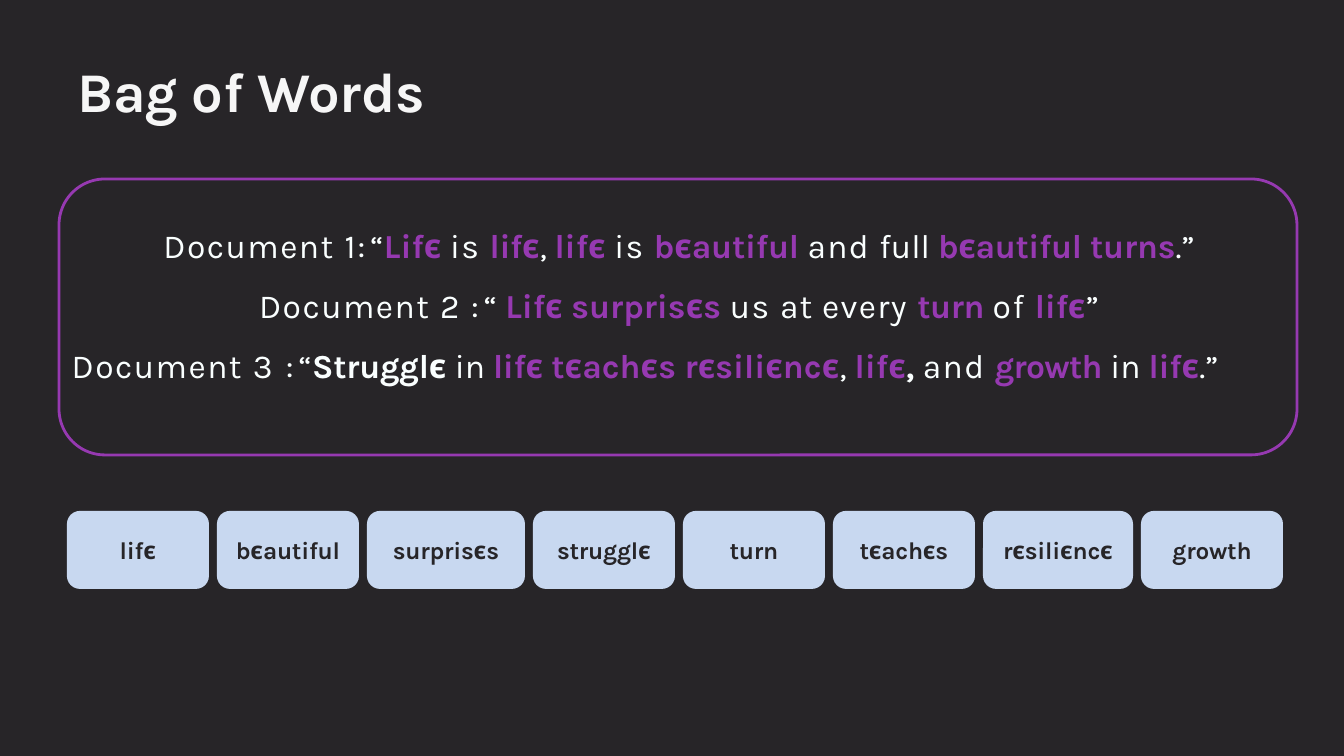
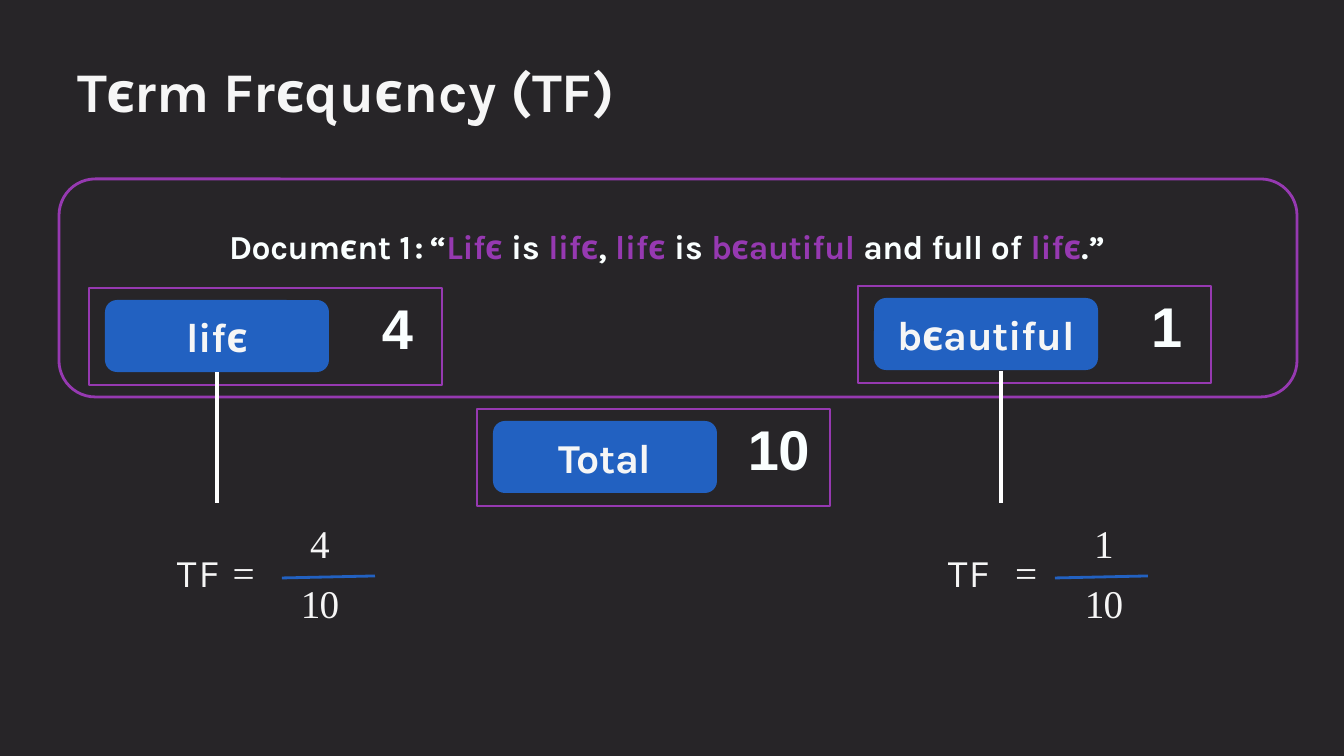
from dataclasses import dataclass
from typing import NamedTuple, Optional, Sequence

import pptx
import pptx.dml.color
import pptx.enum.shapes
import pptx.enum.text
import pptx.oxml.ns
import pptx.util
from lxml import etree

SLIDE_W, SLIDE_H = 1344, 756  # px
EMU_PER_PX = 9144000 / SLIDE_W

SHAPE = pptx.enum.shapes.MSO_SHAPE
ALIGN = pptx.enum.text.PP_ALIGN
ANCHOR = pptx.enum.text.MSO_ANCHOR
qn = pptx.oxml.ns.qn


@dataclass(frozen=True)
class Theme:
    background: str = "272528"
    title: str = "F6F6F6"
    text: str = "FAFFFF"
    accent: str = "9639B1"
    card: str = "C8D8F0"
    pill: str = "2261C1"
    stem: str = "FFFFFF"
    font: str = "Karla"
    count_font: str = "Arial"
    math_font: str = "Times New Roman"
    title_pt: int = 30
    body_pt: int = 18
    card_pt: int = 13
    pill_pt: int = 22
    math_pt: int = 21
    outline_pt: float = 1.5
    stem_pt: float = 2.25


T = Theme()


class Box(NamedTuple):
    left: int
    top: int
    width: int
    height: int


class Run(NamedTuple):
    text: str
    color: str = T.text
    bold: bool = False
    spacing: float = 0
    size: int = T.body_pt
    font: str = T.font


class Card(NamedTuple):
    word: str
    width: int = 142


class Counter(NamedTuple):
    word: str
    count: str
    left: int
    top: int
    count_dx: int = 293


class Fraction(NamedTuple):
    label_left: int
    bar_left: int
    center: int
    numerator: str
    gap: str
    spacing: float


def px(n: float) -> pptx.util.Emu:
    return pptx.util.Emu(round(n * EMU_PER_PX))


def rgb(color: str) -> pptx.dml.color.RGBColor:
    return pptx.dml.color.RGBColor.from_string(color)


def plain(text: str, spacing: float = 0, bold: bool = False) -> Run:
    return Run(text, bold=bold, spacing=spacing)


def key(text: str, spacing: float = 0) -> Run:
    return Run(text, T.accent, True, spacing)


# Text
def add_runs(p, runs: Sequence[Run]) -> None:
    for run in runs:
        r = p.add_run()
        r.text = run.text
        r.font.name = run.font
        r.font.size = pptx.util.Pt(run.size)
        r.font.bold = run.bold
        r.font.color.rgb = rgb(run.color)
        r._r.get_or_add_rPr().set("spc", str(round(run.spacing * 100)))


def set_margins(p, left: int, right: int = 0) -> None:
    pPr = p._p.get_or_add_pPr()
    pPr.set("marL", str(px(left)))
    pPr.set("marR", str(px(right)))
    pPr.set("indent", "0")


def add_tab(p, position: int) -> None:
    tabs = etree.SubElement(p._p.get_or_add_pPr(), qn("a:tabLst"))
    etree.SubElement(tabs, qn("a:tab"), pos=str(px(position)), algn="l")


def clear_insets(tf, top: int = 0) -> None:
    tf.word_wrap = True
    tf.margin_left = tf.margin_right = tf.margin_bottom = 0
    tf.margin_top = px(top)


def add_text(s, box: Box, runs: Sequence[Run], align=ALIGN.LEFT,
             top_inset: int = 2):
    tf = s.shapes.add_textbox(*map(px, box)).text_frame
    clear_insets(tf, top_inset)
    p = tf.paragraphs[0]
    p.alignment = align
    add_runs(p, runs)
    return tf


# Shapes
def add_block(s, kind, box: Box, fill: Optional[str] = None,
              label: Optional[Run] = None):
    """A filled block, or an accent outline when no fill is given."""
    sp = s.shapes.add_shape(kind, *map(px, box))
    sp.shadow.inherit = False
    if fill:
        sp.fill.solid()
        sp.fill.fore_color.rgb = rgb(fill)
        sp.line.fill.background()
    else:
        sp.fill.background()
        sp.line.color.rgb = rgb(T.accent)
        sp.line.width = pptx.util.Pt(T.outline_pt)
    if label:
        tf = sp.text_frame
        clear_insets(tf)
        tf.vertical_anchor = ANCHOR.MIDDLE
        tf.paragraphs[0].alignment = ALIGN.CENTER
        add_runs(tf.paragraphs[0], [label])
    return sp


def add_line(s, x1: int, y1: int, x2: int, y2: int, color: str, width: float):
    line = s.shapes.add_connector(pptx.enum.shapes.MSO_CONNECTOR.STRAIGHT,
                                  px(x1), px(y1), px(x2), px(y2))
    line.line.color.rgb = rgb(color)
    line.line.width = pptx.util.Pt(width)
    etree.SubElement(line._element.spPr, qn("a:effectLst"))
    return line


def add_panel(s, height: int) -> None:
    add_block(s, SHAPE.ROUNDED_RECTANGLE, Box(59, 179, 1238, height))


def add_counter(s, c: Counter):
    add_block(s, SHAPE.RECTANGLE, Box(c.left, c.top, 353, 97))
    pill = add_block(s, SHAPE.ROUNDED_RECTANGLE,
                     Box(c.left + 16, c.top + 12, 224, 72), T.pill,
                     Run(c.word, T.title, True, -0.1, T.pill_pt))
    add_text(s, Box(c.left + c.count_dx, c.top + 4, 70, 71),
             [Run(c.count, T.text, True, -0.3, T.title_pt, T.count_font)])
    return pill


def add_fraction(s, f: Fraction) -> None:
    def math(text: str) -> Run:
        return Run(text, T.title, False, -0.4, T.math_pt, T.math_font)

    tf = add_text(s, Box(f.label_left, 546, 98, 51),
                  [Run("TF" + f.gap, T.title, False, f.spacing, T.math_pt), math("=")])
    set_margins(tf.paragraphs[0], 1)
    if f.gap == "\t":
        add_tab(tf.paragraphs[0], 73)
    add_line(s, f.bar_left, 578, f.bar_left + 93, 576, T.pill, T.outline_pt)
    for text, top in ((f.numerator, 517), ("10", 577)):
        add_text(s, Box(f.center - 24, top, 48, 51), [math(text)], ALIGN.CENTER)


def add_slide(prs, title: Sequence[tuple[str, float]]):
    s = prs.slides.add_slide(prs.slide_layouts[6])
    tf = add_text(s, Box(63, 55, 646, 71),
                  [Run(text, T.title, True, spacing, T.title_pt)
                   for text, spacing in title])
    set_margins(tf.paragraphs[0], 14)
    return s


# Slide 1
DOCUMENT_1 = [
    plain("Document ", 0.8), plain("1 : ", -1.6), plain("“"), key("Lifє "),
    plain("is ", 0.7), key("lifє", -0.2), plain(", ", -0.2), key("lifє "),
    plain("is ", 0.7), key("bєautiful ", -0.1), plain("and ", 0.7),
    plain("full "), key("bєautiful ", -0.2), key("turns", -0.1),
    plain(".”", -0.1),
]
DOCUMENT_2 = [
    plain("Document ", 0.8), plain("2 ", 0.9), plain(": ", -1.6), plain("“ "),
    key("Lifє surprisєs "), plain("us ", 0.8), plain("at ", 0.5),
    plain("every ", 0.7), key("turn ", -0.2), plain("of ", 0.8),
    key("lifє", -0.1), plain("”", -0.1),
]
DOCUMENT_3 = [
    plain("Document ", 0.8), plain("3 ", 1.4), plain(": ", -1.6),
    plain("“", -0.1), plain("Strugglє ", -0.1, True), plain("in "),
    key("lifє ", -0.2), key("tєachєs rєsiliєncє"), plain(", "), key("lifє"),
    plain(", ", 0, True), plain("and ", 0.7), key("growth ", -0.4),
    plain("in "), key("lifє", -0.1), plain(".”", -0.1),
]
CARDS = [
    Card("lifє"), Card("bєautiful"), Card("surprisєs", 158), Card("strugglє"),
    Card("turn"), Card("tєachєs"), Card("rєsiliєncє", 150), Card("growth"),
]


def build_bag_of_words(prs) -> None:
    s = add_slide(prs, [("Bag of Words", -0.1)])
    add_panel(s, 276)

    # Documents
    tf = add_text(s, Box(59, 196, 1234, 266), DOCUMENT_1, ALIGN.CENTER, 9)
    p = tf.paragraphs[0]
    p.line_spacing = 1.49
    p.add_line_break()
    add_runs(p, DOCUMENT_2)
    set_margins(p, 71, 65)
    p = tf.add_paragraph()
    p.alignment = ALIGN.CENTER
    p.space_before = pptx.util.Pt(10.7)
    add_runs(p, DOCUMENT_3)
    set_margins(p, 3, 65)

    # Vocabulary
    left, gap = 67, 8
    for card in CARDS:
        add_block(s, SHAPE.ROUNDED_RECTANGLE, Box(left, 511, card.width, 78),
                  T.card, Run(card.word, T.background, True, -0.1, T.card_pt))
        left += card.width + gap


# Slide 2
SENTENCE = [
    plain("Documєnt ", -0.2, True), plain("1 ", -2.8, True),
    plain(": ", -1.2, True), plain("“", -0.2, True), key("Lifє ", -0.2),
    plain("is ", 0, True), key("lifє", -0.2), plain(", ", -0.2, True),
    key("lifє ", -0.1), plain("is ", 0, True), key("bєautiful ", -0.2),
    plain("and ", -0.3, True), plain("full ", -0.4, True),
    plain("of ", 0, True), key("lifє", -0.1), plain(".”", -0.1, True),
]
COUNTERS = [
    Counter("lifє", "4", 89, 288),
    Counter("bєautiful", "1", 858, 286),
    Counter("Total", "10", 477, 409, 271),
]
FRACTIONS = [
    Fraction(176, 282, 320, "4", " ", 1.1),
    Fraction(947, 1055, 1104, "1", "\t", 0.8),
]


def build_term_frequency(prs) -> None:
    s = add_slide(prs, [("Tєrm ", -0.3), ("Frєquєncy ", 0), ("(TF)", -0.2)])
    add_panel(s, 218)
    add_text(s, Box(229, 224, 900, 44), SENTENCE)
    pills = [add_counter(s, c) for c in COUNTERS]

    # Stems from the counts to the fractions
    stems = [add_line(s, x, 371, x, 503, T.stem, T.stem_pt) for x in (217, 1001)]
    stems[0].begin_connect(pills[0], 2)

    for f in FRACTIONS:
        add_fraction(s, f)


def main() -> None:
    prs = pptx.Presentation()
    prs.slide_width, prs.slide_height = px(SLIDE_W), px(SLIDE_H)
    fill = prs.slide_master.background.fill
    fill.solid()
    fill.fore_color.rgb = rgb(T.background)
    build_bag_of_words(prs)
    build_term_frequency(prs)
    prs.save("out.pptx")


if __name__ == "__main__":
    main()
